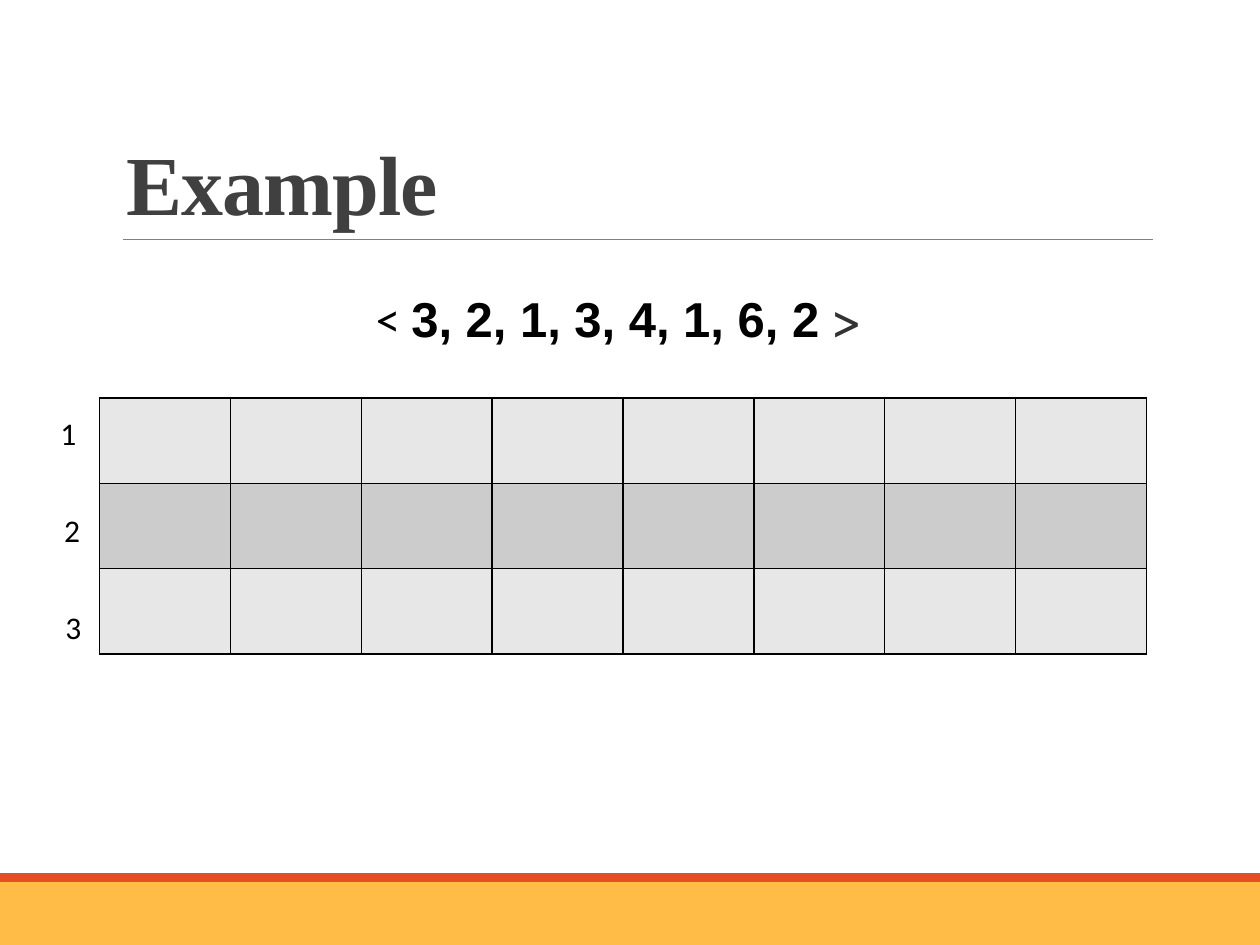
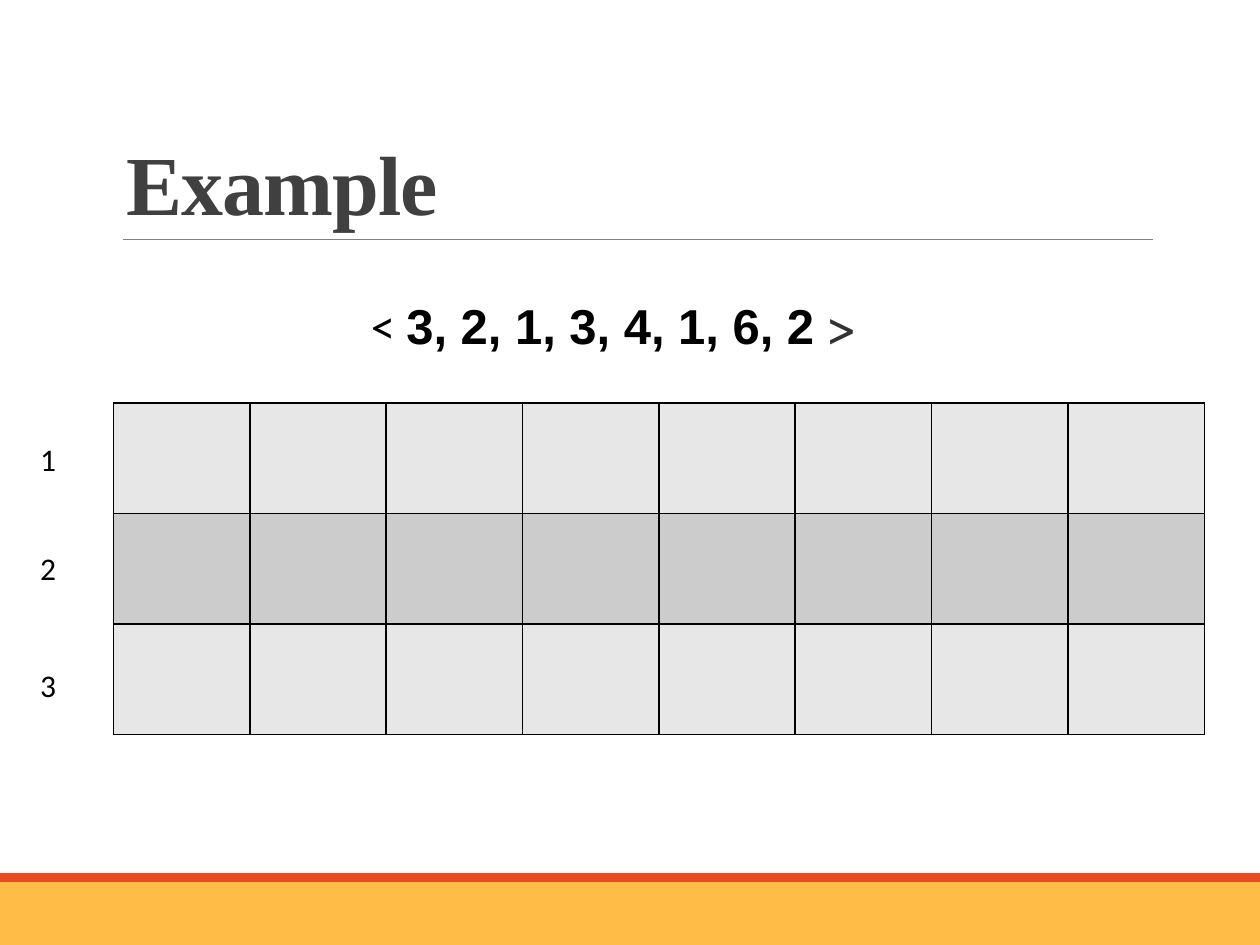
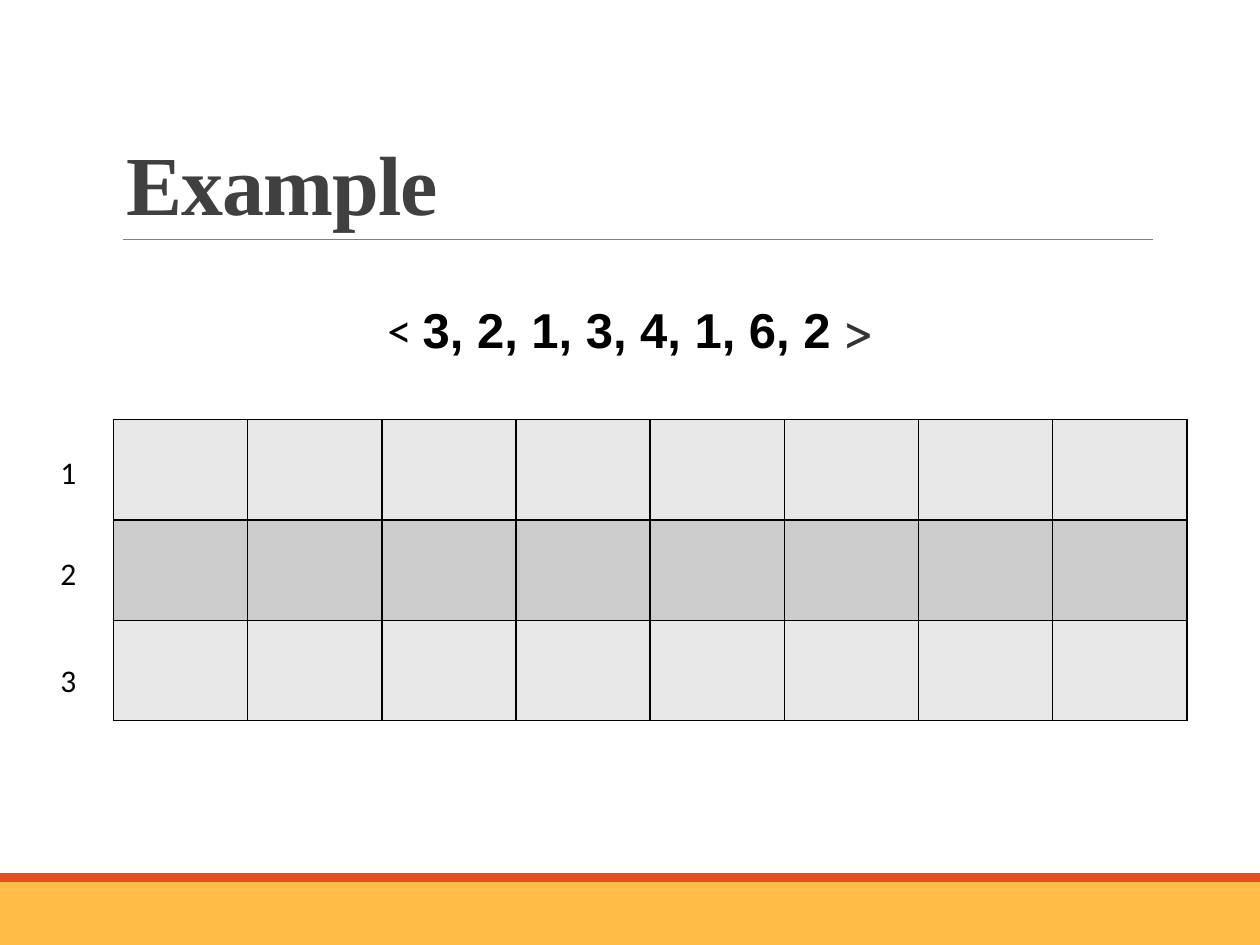
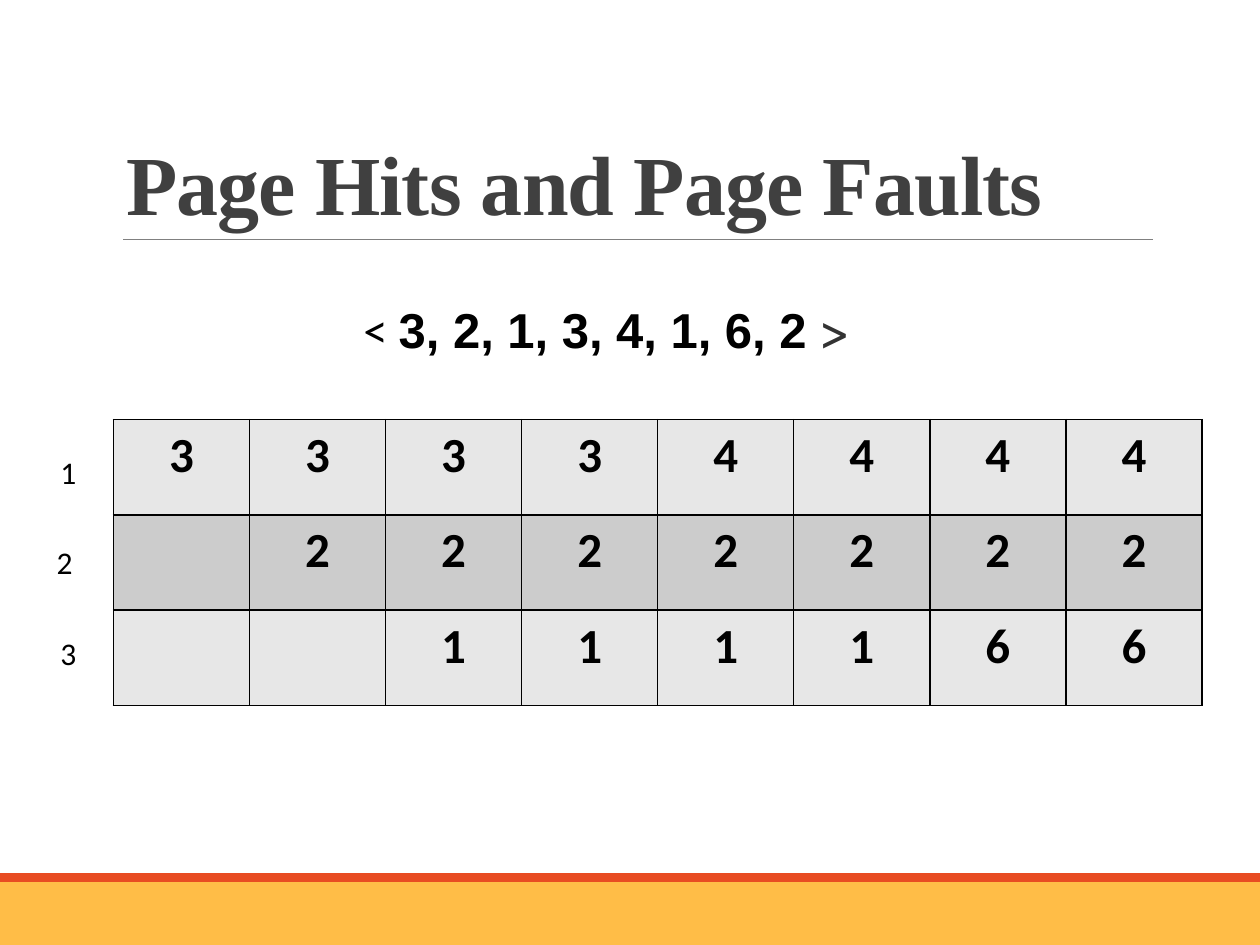
from dataclasses import dataclass

from lxml.etree import SubElement as Sub
from pptx import Presentation
from pptx.dml.color import RGBColor as Rgb
from pptx.enum.shapes import MSO_CONNECTOR as Conn, MSO_SHAPE as Kind
from pptx.enum.text import MSO_ANCHOR as Anchor, MSO_AUTO_SIZE as Fit, PP_ALIGN as Align
from pptx.oxml.ns import qn
from pptx.util import Inches, Pt


@dataclass(frozen=True)
class Theme:
    # Colours
    gold: str = "FFBD47"
    red: str = "E84C22"
    rule: str = "808080"
    head: str = "404040"
    ink: str = "000000"
    soft: str = "333333"
    bands: tuple = ("E7E7E7", "CCCCCC")
    # Fonts
    serif: str = "Times New Roman"
    sans: str = "Calibri"
    bold: str = "Arial"
    sign: str = "TeX Gyre Schola"
    # Type sizes
    title: int = 48
    big: int = 28
    label: int = 18


T = Theme()
COLS, ROWS = 8, 3
EMPTY = [" " * COLS] * ROWS
FRAMES = ["33334444",
          " 2222222",
          "  111166"]


def box(*at):
    return [Inches(n) for n in at]


def add_run(para, text, size, font, color=T.ink, bold=False):
    run = para.add_run()
    run.text = text
    face = run.font
    face.size, face.name, face.bold = Pt(size), font, bold
    face.color.rgb = Rgb.from_string(color)
    return run


def add_text(slide, at, runs, align=Align.LEFT):
    frame = slide.shapes.add_textbox(*box(*at)).text_frame
    frame.word_wrap = True
    frame.auto_size = Fit.SHAPE_TO_FIT_TEXT
    para = frame.paragraphs[0]
    para.alignment = align
    for run in runs:
        add_run(para, *run)


def add_band(slide, top, high, color):
    band = slide.shapes.add_shape(Kind.RECTANGLE, *box(0, top, 10, high))
    band.shadow.inherit = False
    band.fill.solid()
    band.fill.fore_color.rgb = Rgb.from_string(color)
    band.line.fill.background()
    return band


def add_rule(slide, left, right, top):
    rule = slide.shapes.add_connector(Conn.STRAIGHT, *box(left, top, right, top))
    rule.line.color.rgb = Rgb.from_string(T.rule)
    rule.line.width = Pt(0.5)
    Sub(rule.element.spPr, qn("a:effectLst"))
    return rule


def dress(slide):
    """Move the bands and the title rule to the layout that all slides share."""
    parts = [add_band(slide, 7, 0.5, T.gold),
             add_band(slide, 6.93, 0.07, T.red),
             add_rule(slide, 0.98, 9.15, 1.9)]
    for num, part in enumerate(parts, 101):
        part.element.xpath(".//p:cNvPr")[0].set("id", str(num))
        slide.slide_layout.shapes.element.append(part.element)


def add_title(slide, text):
    title = slide.shapes.title
    title.left, title.top, title.width, title.height = box(0.9, 0.31, 8.25, 1.59)
    frame = title.text_frame
    frame.word_wrap = True
    frame.auto_size = Fit.NONE
    frame.vertical_anchor = Anchor.BOTTOM
    para = frame.paragraphs[0]
    para.alignment = Align.LEFT
    para.line_spacing = 0.85
    run = add_run(para, text, T.title, T.serif, T.head, True)
    run.font._element.set("spc", "-50")


def add_refs(slide, left, top, wide):
    """The page reference string."""
    add_text(slide, (left, top, wide, 0.57), [
        ("< ", T.big, T.sans),
        ("3, 2, 1, 3, 4, 1, 6, 2 ", T.big, T.bold, T.ink, True),
        (">", T.big, T.sign, T.soft),
    ], Align.CENTER)


def edge(cell):
    props = cell._tc.get_or_add_tcPr()
    for side in ("a:lnL", "a:lnR", "a:lnT", "a:lnB"):
        line = Sub(props, qn(side), w=str(Pt(1)))
        Sub(Sub(line, qn("a:solidFill")), qn("a:srgbClr"), val=T.ink)


def add_grid(slide, at, pages):
    """Memory frames as rows, one column for each reference."""
    grid = slide.shapes.add_table(ROWS, COLS, *box(*at)).table
    for col in grid.columns:
        col.width = Inches(at[2] / COLS)
    for r, row in enumerate(grid.rows):
        row.height = Inches(at[3] / ROWS)
        for cell, page in zip(row.cells, pages[r]):
            edge(cell)
            cell.fill.solid()
            cell.fill.fore_color.rgb = Rgb.from_string(T.bands[r % 2])
            if page != " ":
                para = cell.text_frame.paragraphs[0]
                para.alignment = Align.CENTER
                add_run(para, page, T.big, T.sans, T.ink, True)


def add_labels(slide, spots):
    """Frame numbers beside the grid: left, top and width of each."""
    for num, (left, top, wide) in enumerate(spots, 1):
        add_text(slide, (left, top, wide, 0.4), [(str(num), T.label, T.sans)])


# Title, reference string, grid, pages, frame numbers
SLIDES = [
    ("Example", (0.76, 2.24, 8.31), (0.79, 3.16, 8.31, 2.03), EMPTY,
     [(0.38, 3.24, 0.78), (0.41, 4.01, 0.22), (0.42, 4.78, 0.43)]),
    ("Example", (1.98, 2.3, 5.79), (0.9, 3.2, 8.66, 2.63), EMPTY,
     [(0.22, top, 0.53) for top in (3.44, 4.31, 5.24)]),
    ("Example", (1.97, 2.33, 6.07), (0.9, 3.33, 8.52, 2.39), EMPTY,
     [(0.38, top, 0.62) for top in (3.55, 4.35, 5.2)]),
    ("Page Hits and Page Faults", (1.75, 2.33, 6.13), (0.9, 3.33, 8.64, 2.27), FRAMES,
     [(0.38, 3.55, 0.62), (0.35, 4.26, 0.62), (0.38, 4.98, 0.62)]),
]


def main():
    deck = Presentation()
    deck.slide_width, deck.slide_height = box(10, 7.5)
    layout = deck.slide_layouts.get_by_name("Title Only")
    for num, (title, refs, grid, pages, spots) in enumerate(SLIDES):
        slide = deck.slides.add_slide(layout)
        if num == 0:
            dress(slide)
        add_title(slide, title)
        add_grid(slide, grid, pages)
        add_refs(slide, *refs)
        add_labels(slide, spots)
    deck.save("out.pptx")


if __name__ == "__main__":
    main()
